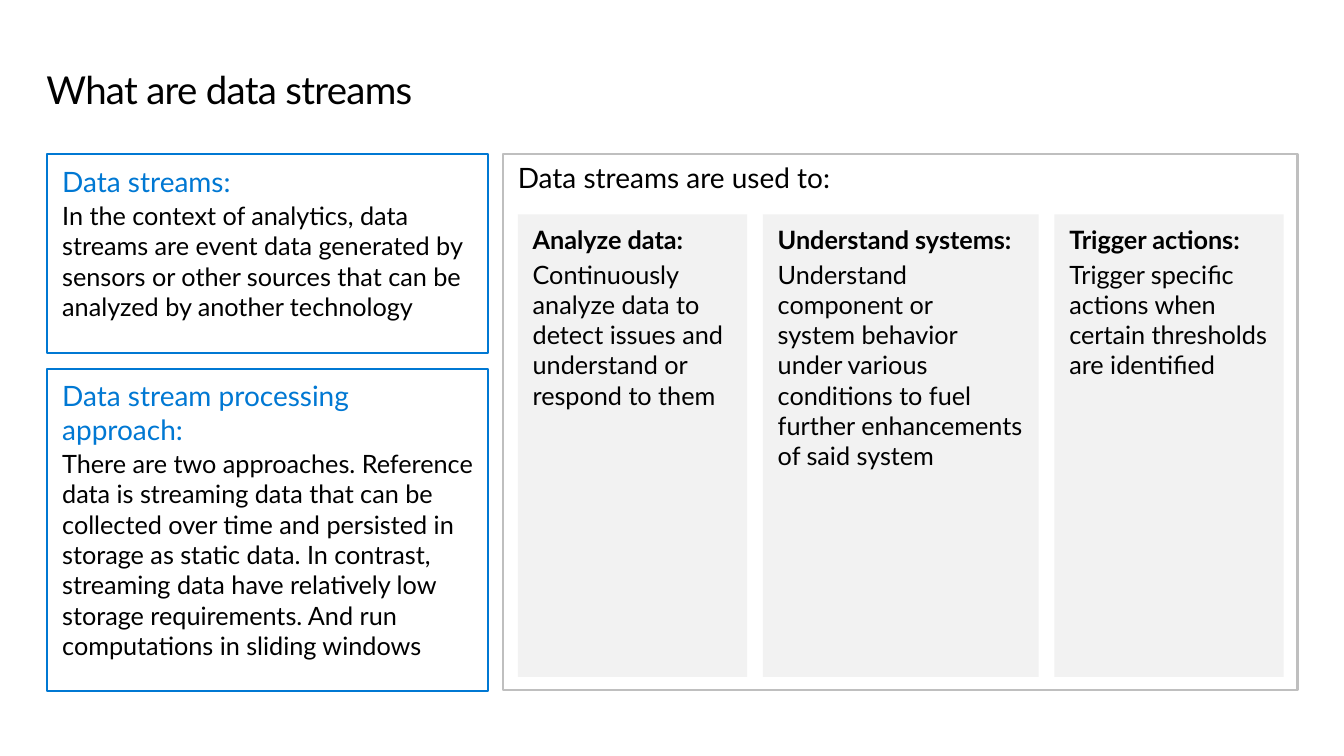
import pptx
import pptx.dml.color
import pptx.enum.shapes
import pptx.enum.text
import pptx.util
from pptx.util import Inches

BLACK = pptx.dml.color.RGBColor(0x00, 0x00, 0x00)
BLUE = pptx.dml.color.RGBColor(0x00, 0x78, 0xD3)
GRAY = pptx.dml.color.RGBColor(0xBF, 0xBF, 0xBF)
PALE = pptx.dml.color.RGBColor(0xF2, 0xF2, 0xF2)
FONT = "Lato"
HEADING_SIZE, BODY_SIZE = 20.4, 18.4

TITLE = "What are data streams"
USES_HEADING = "Data streams are used to:"
# heading, body, box height
DEFINITIONS = [
    ("Data streams:",
     "In the context of analytics, data streams are event data generated by "
     "sensors or other sources that can be analyzed by another technology", 2.01),
    ("Data stream processing approach:",
     "There are two approaches. Reference data is streaming data that can be "
     "collected over time and persisted in storage as static data. In contrast, "
     "streaming data have relatively low storage requirements. And run "
     "computations in sliding windows", 3.26),
]
# heading, body, card width
USES = [
    ("Analyze data:",
     "Continuously analyze data to detect issues and understand or respond to them",
     2.32),
    ("Understand systems:",
     "Understand component or\nsystem behavior under various conditions to fuel "
     "further enhancements\nof said system", 2.79),
    ("Trigger actions:",
     "Trigger specific actions when certain thresholds are identified", 2.32),
]
LEFT, TOP, GAP = 0.48, 1.56, 0.16
DEFINITION_WIDTH = 4.46
PANEL_LEFT, PANEL_WIDTH, PANEL_HEIGHT = 5.09, 8.04, 5.42
CARD_LEFT, CARD_TOP, CARD_HEIGHT = 5.24, 2.17, 4.68


def write(shape, text, size, color=BLACK, bold=False, first=False,
          before=0, after=0, leading=None, tracking=None):
    """Put one formatted paragraph into the shape."""
    frame = shape.text_frame
    para = frame.paragraphs[0] if first else frame.add_paragraph()
    para.text = text.replace("\n", "\v")
    para.alignment = pptx.enum.text.PP_ALIGN.LEFT
    para.space_before = pptx.util.Pt(before)
    para.space_after = pptx.util.Pt(after)
    if leading:
        para.line_spacing = leading
    for span in para.runs:
        span.font.name = FONT
        span.font.size = pptx.util.Pt(size)
        span.font.bold = bold
        span.font.color.rgb = color
        if tracking:
            span.font._element.set("spc", str(int(tracking * 100)))


def set_frame(shape, side, end):
    frame = shape.text_frame
    frame.word_wrap = True
    frame.vertical_anchor = pptx.enum.text.MSO_ANCHOR.TOP
    frame.margin_left = frame.margin_right = Inches(side)
    frame.margin_top = frame.margin_bottom = Inches(end)


def add_box(page, left, top, width, height, fill=None, line=None):
    box = page.shapes.add_shape(
        pptx.enum.shapes.MSO_SHAPE.RECTANGLE,
        Inches(left), Inches(top), Inches(width), Inches(height))
    box.shadow.inherit = False
    if fill is None:
        box.fill.background()
    else:
        box.fill.solid()
        box.fill.fore_color.rgb = fill
    if line is None:
        box.line.fill.background()
    else:
        box.line.color.rgb = line
        box.line.width = pptx.util.Pt(1.5)
    set_frame(box, 0.15, 0.1)
    return box


def main():
    deck = pptx.Presentation()
    deck.slide_width, deck.slide_height = Inches(13.6), Inches(7.65)
    page = deck.slides.add_slide(deck.slide_layouts[6])

    title = page.shapes.add_textbox(
        Inches(0.47), Inches(0.69), Inches(12.65), Inches(0.45))
    set_frame(title, 0, 0)
    write(title, TITLE, 28, first=True, leading=pptx.util.Pt(32), tracking=-0.5)

    top = TOP
    for heading, body, height in DEFINITIONS:
        box = add_box(page, LEFT, top, DEFINITION_WIDTH, height, line=BLUE)
        write(box, heading, HEADING_SIZE, color=BLUE, first=True, after=2)
        write(box, body, BODY_SIZE)
        top += height + GAP

    panel = add_box(page, PANEL_LEFT, TOP, PANEL_WIDTH, PANEL_HEIGHT, line=GRAY)
    write(panel, USES_HEADING, HEADING_SIZE, first=True, leading=0.9)

    left = CARD_LEFT
    for heading, body, width in USES:
        card = add_box(page, left, CARD_TOP, width, CARD_HEIGHT, fill=PALE)
        write(card, heading, BODY_SIZE, bold=True, first=True)
        write(card, body, BODY_SIZE, before=3)
        left += width + GAP

    deck.save("out.pptx")


if __name__ == "__main__":
    main()
